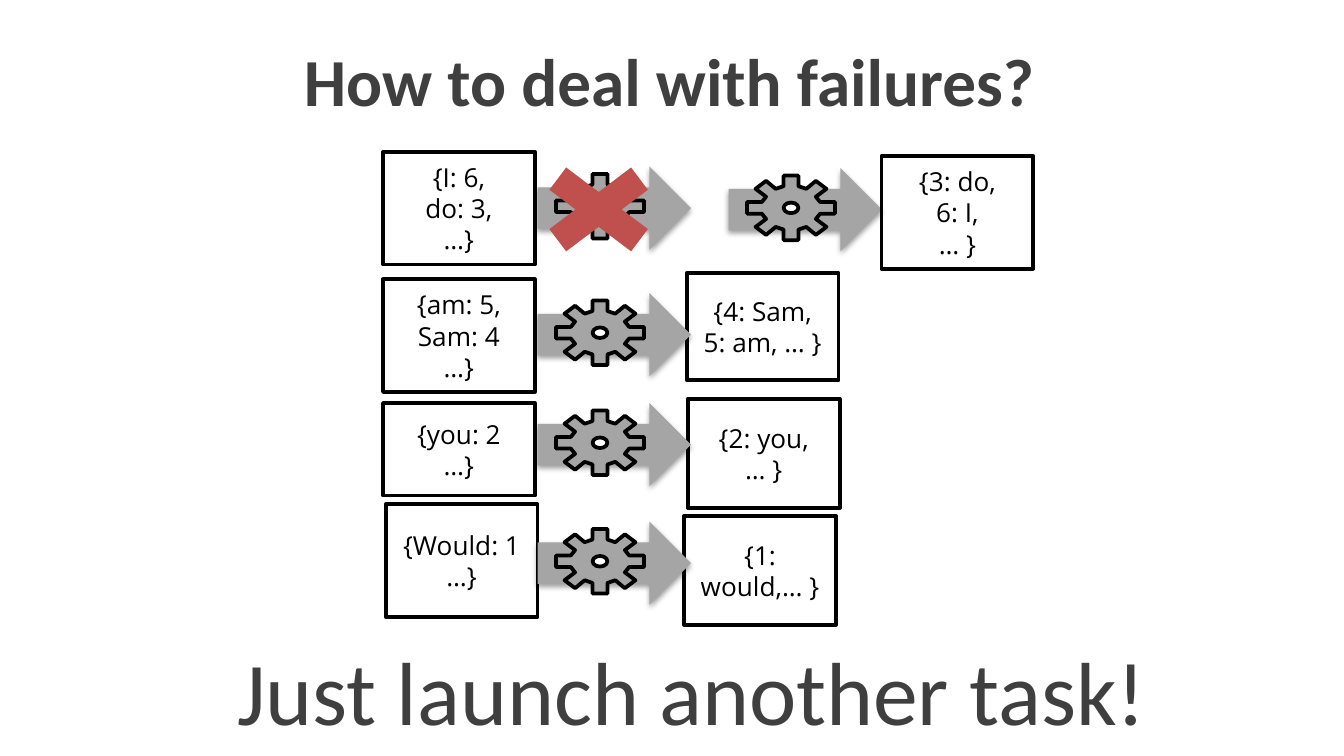
from lxml.etree import SubElement
from pptx import Presentation
from pptx.dml.color import RGBColor
from pptx.enum.shapes import MSO_SHAPE
from pptx.enum.text import MSO_ANCHOR, PP_ALIGN
from pptx.oxml.ns import qn
from pptx.util import Cm, Pt

BLACK = RGBColor(0x00, 0x00, 0x00)
WHITE = RGBColor(0xFF, 0xFF, 0xFF)
DARK = RGBColor(0x3F, 0x3F, 0x3F)
GREY = RGBColor(0xA5, 0xA5, 0xA5)
RED = RGBColor(0xC0, 0x50, 0x4D)

WIDE = 2.87
LEFT = 10.16
TEETH = [(0.14, 0.61), (0.14, 0.41), (0.29, 0.36), (0.47, 0.51),
         (0.67, 0.36), (0.47, 0.21), (0.55, 0.11), (0.83, 0.11)]

INPUTS = [
    (7.24, 2.87, 2.13, ["{I: 6,", "do: 3,", "…}"]),
    (7.24, 5.28, 2.13, ["{am: 5,", "Sam: 4", "…}"]),
    (7.24, 7.62, 1.75, ["{you: 2", "…}"]),
    (7.29, 9.53, 2.13, ["{Would: 1", "…}"]),
]
OUTPUTS = [
    (12.98, 5.16, 2.03, ["{4: Sam,", "5: am, … }"]),
    (13, 7.54, 2.06, ["{2: you,", "… }"]),
    (12.93, 9.75, 2.06, ["{1: would,… }"]),
]
RETRY = (16.66, 2.95, 2.13, ["{3: do,", "6: I,", "… }"])


def paint(shape, fill, line=None):
    shape.shadow.inherit = False
    if fill is None:
        shape.fill.background()
    else:
        shape.fill.solid()
        shape.fill.fore_color.rgb = fill
    if line is None:
        shape.line.fill.background()
    else:
        shape.line.color.rgb = line
        shape.line.width = Pt(2)


def write(shape, lines, font, size, color, bold=False):
    frame = shape.text_frame
    frame.word_wrap = True
    frame.vertical_anchor = MSO_ANCHOR.MIDDLE
    frame.text = "\n".join(lines)
    for para in frame.paragraphs:
        para.alignment = PP_ALIGN.CENTER
        para.font.name = font
        para.font.size = Pt(size)
        para.font.bold = bold
        para.font.color.rgb = color


def add_head(slide, x, y, w, h, text, size, bold=False):
    area = slide.shapes.add_textbox(Cm(x), Cm(y), Cm(w), Cm(h))
    write(area, [text], "Calibri", size, DARK, bold)


def add_data(slide, x, y, h, lines):
    rect = slide.shapes.add_shape(
        MSO_SHAPE.RECTANGLE, Cm(x), Cm(y), Cm(WIDE), Cm(h))
    paint(rect, None, BLACK)
    write(rect, lines, "Open Sans", 14, BLACK)


def add_shade(shape):
    effects = shape._element.spPr.find(qn("a:effectLst"))
    shade = SubElement(effects, qn("a:outerShdw"), blurRad="39370",
                       dist="20320", dir="5400000", rotWithShape="0")
    color = SubElement(shade, qn("a:srgbClr"), val=str(BLACK))
    SubElement(color, qn("a:alpha"), val="38000")


def add_gear(group, x, y):
    back = TEETH[::-1]
    rim = ([(a, -b) for a, b in TEETH] + back
           + [(-a, b) for a, b in TEETH] + [(-a, -b) for a, b in back])
    points = [(Cm(x + a), Cm(y + b)) for a, b in rim]
    pen = group.shapes.build_freeform(*points[0])
    pen.add_line_segments(points[1:], close=True)
    paint(pen.convert_to_shape(), GREY, BLACK)
    hole = group.shapes.add_shape(
        MSO_SHAPE.OVAL, Cm(x - 0.14), Cm(y - 0.1), Cm(0.28), Cm(0.2))
    paint(hole, WHITE, BLACK)


def add_task(slide, x, y):
    group = slide.shapes.add_group_shape()
    arrow = group.shapes.add_shape(
        MSO_SHAPE.RIGHT_ARROW, Cm(x), Cm(y), Cm(2.9), Cm(1.57))
    paint(arrow, GREY)
    add_shade(arrow)
    add_gear(group, x + 1.18, y + 0.75)


def add_cross(slide, x, y, w, h):
    cross = slide.shapes.add_shape(
        MSO_SHAPE.MATH_MULTIPLY, Cm(x), Cm(y), Cm(w), Cm(h))
    cross.adjustments[0] = 0.235
    paint(cross, RED)


def main():
    deck = Presentation()
    deck.slide_width, deck.slide_height = Cm(25.4), Cm(14.29)
    slide = deck.slides.add_slide(deck.slide_layouts[6])
    add_head(slide, 1.22, 0, 22.86, 3.02, "How to deal with failures?", 36, True)
    for item in INPUTS + OUTPUTS:
        add_data(slide, *item)
    for y in (3.15, 5.54, 7.62, 9.86):
        add_task(slide, LEFT, y)
    add_cross(slide, 9.83, 2.84, 2.97, 2.24)
    add_head(slide, 1.65, 11.81, 22.86, 2.44, "Just launch another task!", 48)
    add_task(slide, 13.77, 3.18)
    add_data(slide, *RETRY)
    deck.save("out.pptx")


if __name__ == "__main__":
    main()
